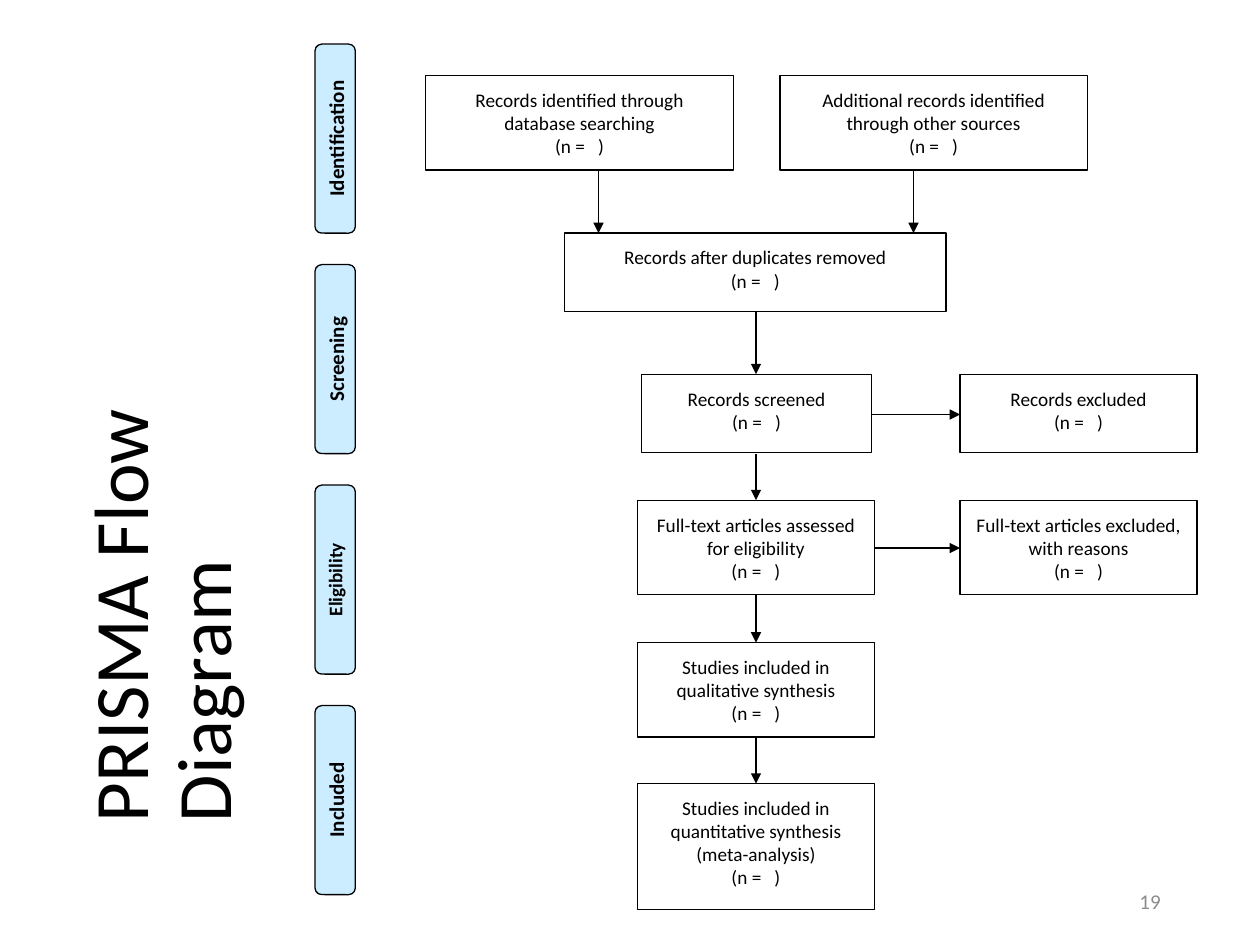
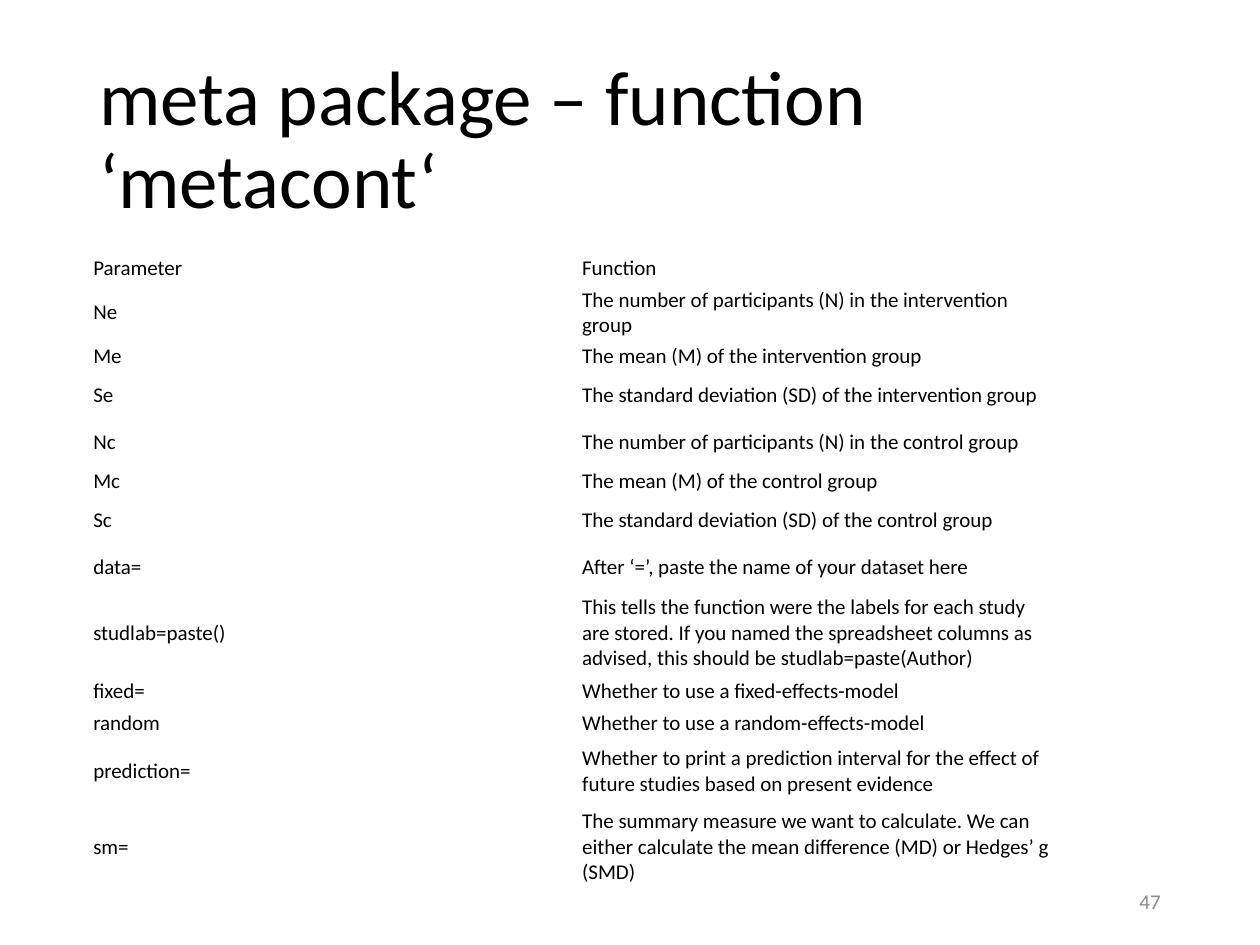
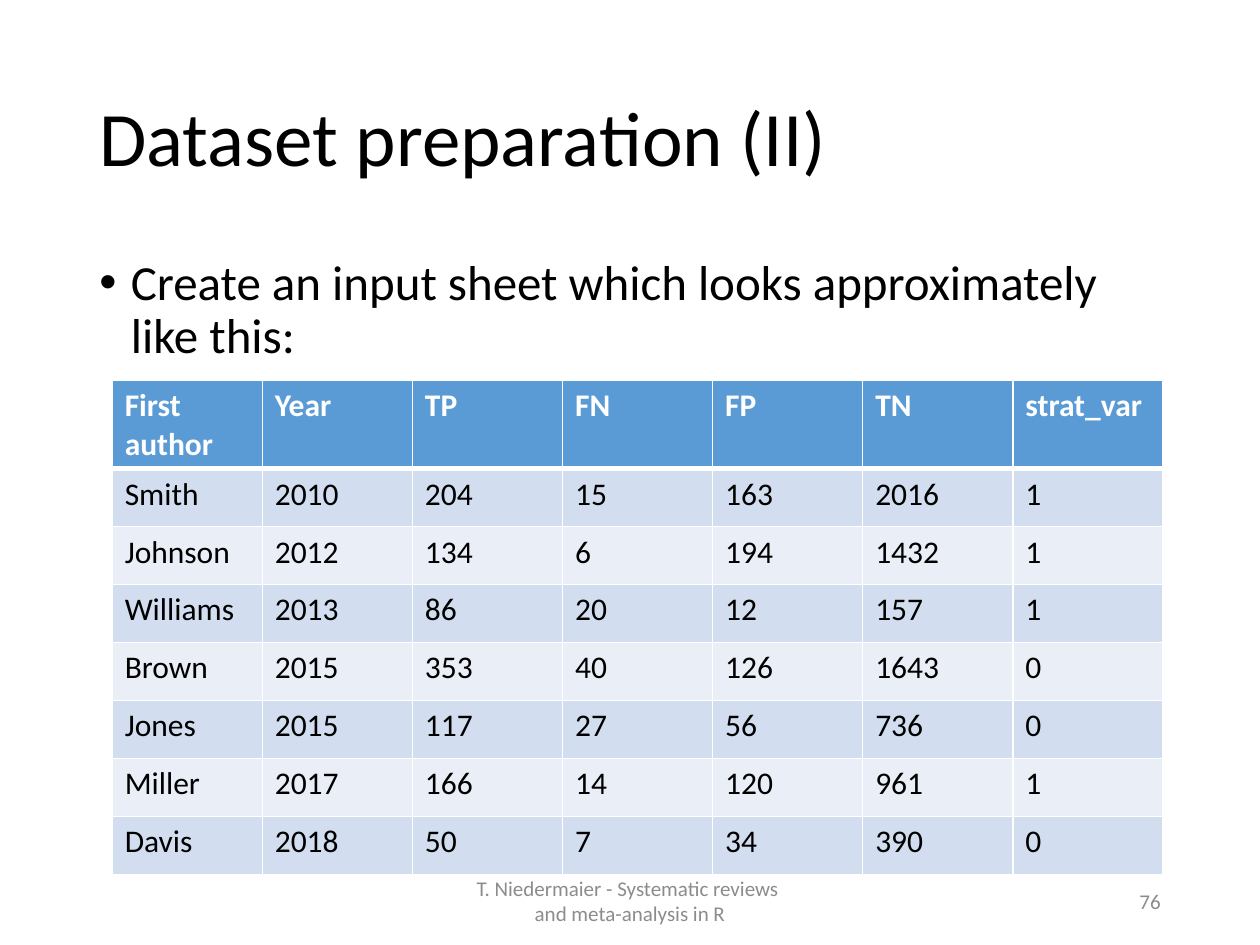
from lxml import etree
from pptx import Presentation
from pptx import util as u
from pptx.dml import color
from pptx.enum import shapes, text
from pptx.oxml import ns

BLACK, WHITE, GREY = "000000", "FFFFFF", "8C8C8C"
BLUE, PALE, LIGHT, SKY = "5B9BD5", "D2DEEF", "EAEFF7", "CCECFF"
TOP = {"word_wrap": True, "vertical_anchor": text.MSO_ANCHOR.TOP}
MID = {"word_wrap": True, "vertical_anchor": text.MSO_ANCHOR.MIDDLE}
SIDES = ["margin_left", "margin_top", "margin_right", "margin_bottom"]
BOX = TOP | dict.fromkeys(SIDES, u.Inches(0.1))
BAR = TOP | dict.fromkeys(SIDES, u.Inches(0.05))
CENTER = {"alignment": text.PP_ALIGN.CENTER}
RIGHT = {"alignment": text.PP_ALIGN.RIGHT}
TIGHT = {"line_spacing": 0.9}


def rgb(code):
    return color.RGBColor.from_string(code)


def write(frame, lines, size, tone=BLACK, bold=False, look=TOP, para={}):
    for key, val in look.items():
        setattr(frame, key, val)
    for i, line in enumerate(lines):
        p = frame.add_paragraph() if i else frame.paragraphs[0]
        p.text = line
        for key, val in para.items():
            setattr(p, key, val)
        for run in p.runs:
            run.font.color.rgb = rgb(tone)
            font = {"name": "Calibri", "size": u.Pt(size), "bold": bold}
            for key, val in font.items():
                setattr(run.font, key, val)


prs = Presentation()
prs.slide_width, prs.slide_height = u.Inches(10), u.Inches(7.5)

pages = [
    ("PRISMA Flow Diagram", (-1.53, 3.06, 5.68, 1.45), 270, "19"),
    ("meta package – function ‘metacont‘", (0.69, 0.4, 8.62, 1.45), 0, "47"),
    ("Dataset preparation (II)", (0.69, 0.4, 8.62, 1.45), 0, "76"),
]
slides = []
for title, place, turn, num in pages:
    slide = prs.slides.add_slide(prs.slide_layouts[6])
    slides.append(slide)
    head = slide.shapes.add_textbox(*map(u.Inches, place))
    head.rotation = turn
    write(head.text_frame, [title], 44, look=MID, para=TIGHT)
    foot = slide.shapes.add_textbox(*map(u.Inches, (7.06, 6.95, 2.25, 0.4)))
    write(foot.text_frame, [num], 12, GREY, look=MID, para=RIGHT)
flow, meta, data = slides

RECT = shapes.MSO_SHAPE.RECTANGLE
ROUND = shapes.MSO_SHAPE.ROUNDED_RECTANGLE
items = [
    ("Records identified through database searching", 3.38, 0.6, 2.44, 0.75),
    ("Additional records identified through other sources", 6.19, 0.6, 2.44, 0.75),
    ("Records after duplicates removed", 4.48, 1.85, 3.03, 0.62),
    ("Records screened", 5.09, 2.97, 1.83, 0.62),
    ("Records excluded", 7.62, 2.97, 1.88, 0.62),
    ("Full-text articles assessed for eligibility", 5.06, 3.97, 1.88, 0.75),
    ("Full-text articles excluded, with reasons", 7.62, 3.97, 1.88, 0.75),
    ("Studies included in qualitative synthesis", 5.06, 5.1, 1.88, 0.75),
    ("Studies included in quantitative synthesis (meta-analysis)", 5.06, 6.22, 1.88, 1),
]
nodes = [(RECT, name + "\n(n =   )", place, 0, WHITE, 11, False, BOX)
         for name, *place in items]
stages = [("Identification", 12), ("Screening", 12), ("Eligibility", 11), ("Included", 12)]
for i, (name, size) in enumerate(stages):
    place = (1.91, 0.94 + 1.75 * i, 1.5, 0.32)
    nodes.append((ROUND, name, place, 270, SKY, size, True, BAR))

for kind, name, place, turn, fill, size, bold, look in nodes:
    node = flow.shapes.add_shape(kind, *map(u.Inches, place))
    node.rotation = turn
    node.shadow.inherit = False
    node.fill.solid()
    node.fill.fore_color.rgb = rgb(fill)
    node.line.color.rgb = rgb(BLACK)
    node.line.width = u.Pt(0.75)
    write(node.text_frame, [name], size, bold=bold, look=look, para=CENTER)

arrows = [
    (4.75, 1.35, 4.75, 1.85), (7.25, 1.35, 7.25, 1.85),
    (6, 2.47, 6, 2.97), (6, 3.6, 6, 3.97), (6, 4.72, 6, 5.1), (6, 5.85, 6, 6.22),
    (6.91, 3.29, 7.62, 3.29), (6.94, 4.35, 7.62, 4.35),
]
for ends in arrows:
    link = flow.shapes.add_connector(shapes.MSO_CONNECTOR.STRAIGHT, *map(u.Inches, ends))
    link.line.color.rgb = rgb(BLACK)
    link.line.width = u.Pt(0.75)
    props = link._element.spPr
    etree.SubElement(props.find(ns.qn("a:ln")), ns.qn("a:tailEnd"), type="triangle")
    etree.SubElement(props, ns.qn("a:effectLst"))

terms = [
    ("Parameter", "Function"),
    ("Ne", "The number of participants (N) in the intervention group"),
    ("Me", "The mean (M) of the intervention group"),
    ("Se", "The standard deviation (SD) of the intervention group"),
    ("Nc", "The number of participants (N) in the control group"),
    ("Mc", "The mean (M) of the control group"),
    ("Sc", "The standard deviation (SD) of the control group"),
    ("data=", "After ‘=’, paste the name of your dataset here"),
    ("studlab=paste()", "This tells the function were the labels for each study are stored. "
     "If you named the spreadsheet columns as advised, this should be studlab=paste(Author)"),
    ("fixed=", "Whether to use a fixed-effects-model"),
    ("random", "Whether to use a random-effects-model"),
    ("prediction=", "Whether to print a prediction interval for the effect of "
     "future studies based on present evidence"),
    ("sm=", "The summary measure we want to calculate. We can either calculate "
     "the mean difference (MD) or Hedges’ g (SMD)"),
]
highs = [0.21, 0.37, 0.21, 0.37, 0.37, 0.21, 0.37, 0.37, 0.68, 0.21, 0.21, 0.52, 0.68]
cellfmt = {"vertical_anchor": text.MSO_ANCHOR.MIDDLE}
cellfmt |= dict(zip(SIDES, map(u.Inches, (0.05, 0.03, 0.06, 0.02))))
grid = meta.shapes.add_table(len(terms), 2, *map(u.Inches, (0.69, 2, 7.76, sum(highs)))).table
grid.first_row = grid.horz_banding = False
for r, (row, high) in enumerate(zip(terms, highs)):
    grid.rows[r].height = u.Inches(high)
    for c, word in enumerate(row):
        cell = grid.cell(r, c)
        cell.fill.background()
        for key, val in cellfmt.items():
            setattr(cell, key, val)
        write(cell.text_frame, [word], 12, look={})

body = data.shapes.add_textbox(*map(u.Inches, (0.69, 2, 8.62, 4.76)))
write(body.text_frame, ["Create an input sheet which looks approximately like this:"], 28,
      para=TIGHT | {"space_before": u.Pt(10)})
props = body.text_frame.paragraphs[0]._p.get_or_add_pPr()
props.set("marL", str(u.Inches(0.25)))
props.set("indent", str(u.Inches(-0.25)))
etree.SubElement(props, ns.qn("a:buFont"), typeface="Arial")
etree.SubElement(props, ns.qn("a:buChar"), char="•")

study = [
    ("First author", "Year", "TP", "FN", "FP", "TN", "strat_var"),
    ("Smith", 2010, 204, 15, 163, 2016, 1),
    ("Johnson", 2012, 134, 6, 194, 1432, 1),
    ("Williams", 2013, 86, 20, 12, 157, 1),
    ("Brown", 2015, 353, 40, 126, 1643, 0),
    ("Jones", 2015, 117, 27, 56, 736, 0),
    ("Miller", 2017, 166, 14, 120, 961, 1),
    ("Davis", 2018, 50, 7, 34, 390, 0),
]
place = (0.89, 3.02, 8.34, 0.46 * len(study))
grid = data.shapes.add_table(len(study), len(study[0]), *map(u.Inches, place)).table
for r, row in enumerate(study):
    top = r == 0
    for c, word in enumerate(row):
        cell = grid.cell(r, c)
        cell.fill.solid()
        cell.fill.fore_color.rgb = rgb(BLUE if top else PALE if r % 2 else LIGHT)
        write(cell.text_frame, [str(word)], 18, WHITE if top else BLACK, top, look={})
        if top:
            edge = etree.Element(ns.qn("a:lnB"), w=str(u.Pt(3)))
            fill = etree.SubElement(edge, ns.qn("a:solidFill"))
            etree.SubElement(fill, ns.qn("a:srgbClr"), val=WHITE)
            cell._tc.get_or_add_tcPr().insert(0, edge)

foot = data.shapes.add_textbox(*map(u.Inches, (3.31, 6.95, 3.38, 0.4)))
write(foot.text_frame, ["T. Niedermaier - Systematic reviews ", "and meta-analysis in R"],
      12, GREY, look=MID, para=CENTER)

prs.save("out.pptx")
